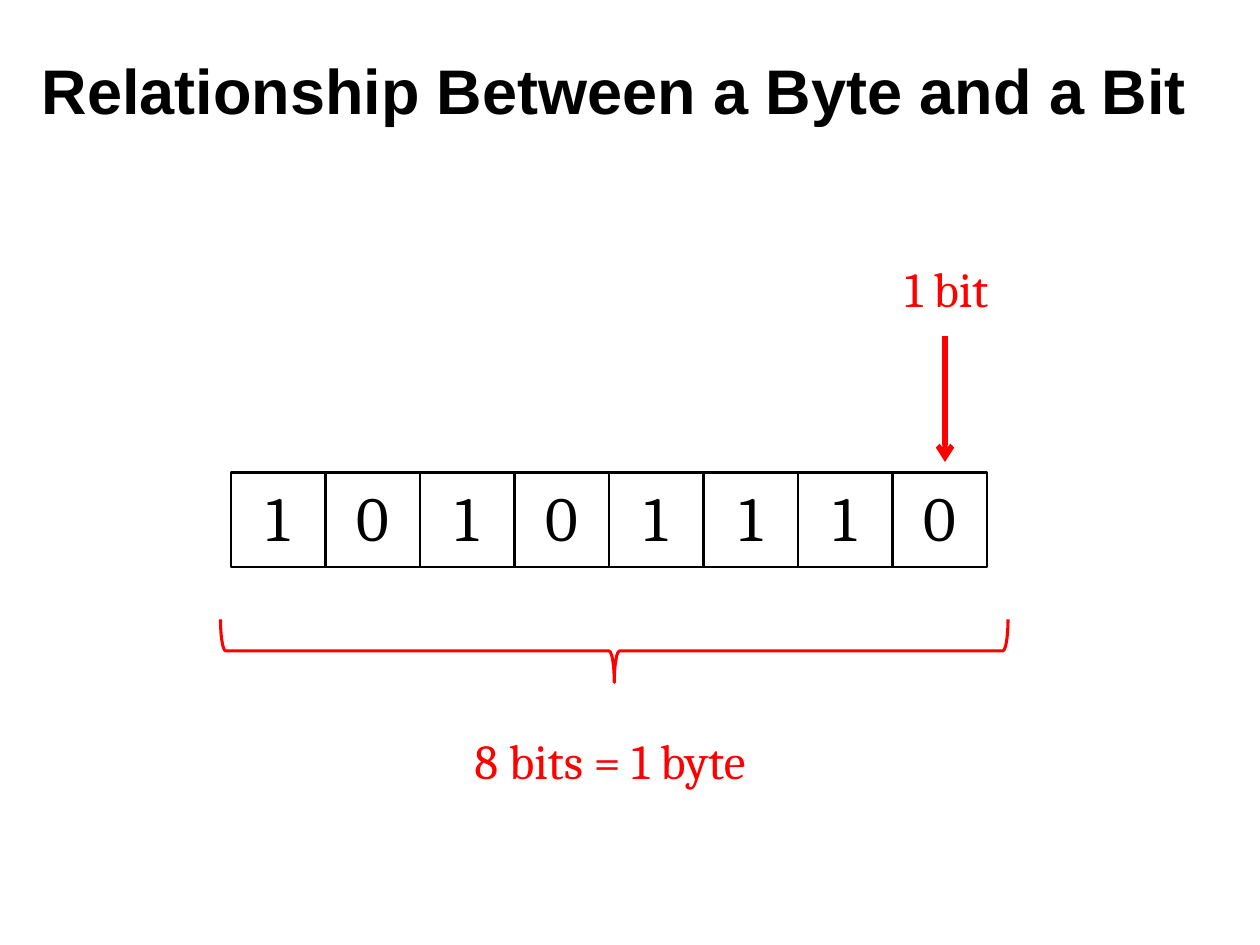
from lxml.etree import SubElement
from pptx import Presentation
from pptx.dml.color import RGBColor
from pptx.enum.shapes import MSO_CONNECTOR, MSO_SHAPE
from pptx.enum.text import MSO_ANCHOR, MSO_AUTO_SIZE, PP_ALIGN
from pptx.oxml.ns import qn
from pptx.util import Pt

TITLE = "Relationship Between a Byte and a Bit"
BITS = "10101110"
LABELS = [
    ("8 bits = 1 byte", 264, 414, 176.4),
    ("1 bit", 510, 144, 66.24),
]
COLORS = {"ink": "000000", "accent": "FF0000"}
ROW_LEFT, ROW_TOP, CELL = 132, 270, 54
BRACE_CENTER_X, BRACE_CENTER_Y, BRACE_SPAN, BRACE_DEPTH = 351, 372, 450, 36
ARROW_X, ARROW_TOP, ARROW_BOTTOM = 540, 192, 264


def color(name):
    """Return the named colour."""
    return RGBColor.from_string(COLORS[name])


def write(frame, text, font_name, size, ink, align):
    """Set one paragraph of text with its font and alignment."""
    frame.text = text
    paragraph = frame.paragraphs[0]
    paragraph.alignment = align
    paragraph.font.name = font_name
    paragraph.font.size = Pt(size)
    paragraph.font.color.rgb = color(ink)
    return paragraph


def add_outline(slide, preset, left, top, width, height, ink, weight):
    """Add an unfilled preset shape."""
    outline = slide.shapes.add_shape(preset, Pt(left), Pt(top), Pt(width), Pt(height))
    outline.shadow.inherit = False
    outline.fill.background()
    outline.line.color.rgb = color(ink)
    outline.line.width = Pt(weight)
    return outline


def add_title(slide):
    """Place and format the title."""
    title = slide.shapes.title
    title.left, title.top, title.width, title.height = Pt(0), Pt(24), Pt(702), Pt(54)
    title.text_frame.vertical_anchor = MSO_ANCHOR.MIDDLE
    heading = write(title.text_frame, TITLE, "Arial", 36, "ink", PP_ALIGN.CENTER)
    heading.font.bold = True


def add_byte(slide):
    """Draw one cell per bit and the brace below them."""
    for index, bit in enumerate(BITS):
        cell = add_outline(slide, MSO_SHAPE.RECTANGLE, ROW_LEFT + index * CELL,
                           ROW_TOP, CELL, CELL, "ink", 1.5)
        cell.text_frame.vertical_anchor = MSO_ANCHOR.TOP
        write(cell.text_frame, bit, "Cambria", 36, "ink", PP_ALIGN.CENTER)
    brace = add_outline(slide, MSO_SHAPE.RIGHT_BRACE,
                        BRACE_CENTER_X - BRACE_DEPTH / 2, BRACE_CENTER_Y - BRACE_SPAN / 2,
                        BRACE_DEPTH, BRACE_SPAN, "accent", 1.75)
    brace.rotation = 90


def add_arrow(slide):
    """Point an arrow down at the last bit."""
    arrow = slide.shapes.add_connector(MSO_CONNECTOR.STRAIGHT, Pt(ARROW_X), Pt(ARROW_TOP),
                                       Pt(ARROW_X), Pt(ARROW_BOTTOM))
    arrow.line.color.rgb = color("accent")
    arrow.line.width = Pt(3)
    SubElement(arrow.line._get_or_add_ln(), qn("a:tailEnd"), type="arrow")
    SubElement(arrow._element.spPr, qn("a:effectLst"))


def add_labels(slide):
    """Write the labels."""
    for text, left, top, width in LABELS:
        label = slide.shapes.add_textbox(Pt(left), Pt(top), Pt(width), Pt(41))
        label.text_frame.word_wrap = False
        label.text_frame.auto_size = MSO_AUTO_SIZE.SHAPE_TO_FIT_TEXT
        write(label.text_frame, text, "Cambria", 28, "accent", PP_ALIGN.LEFT)


def main():
    """Build and save the slide."""
    deck = Presentation()
    deck.slide_width, deck.slide_height = Pt(720), Pt(540)
    slide = deck.slides.add_slide(deck.slide_layouts[5])
    add_title(slide)
    add_byte(slide)
    add_arrow(slide)
    add_labels(slide)
    deck.save("out.pptx")


if __name__ == "__main__":
    main()
